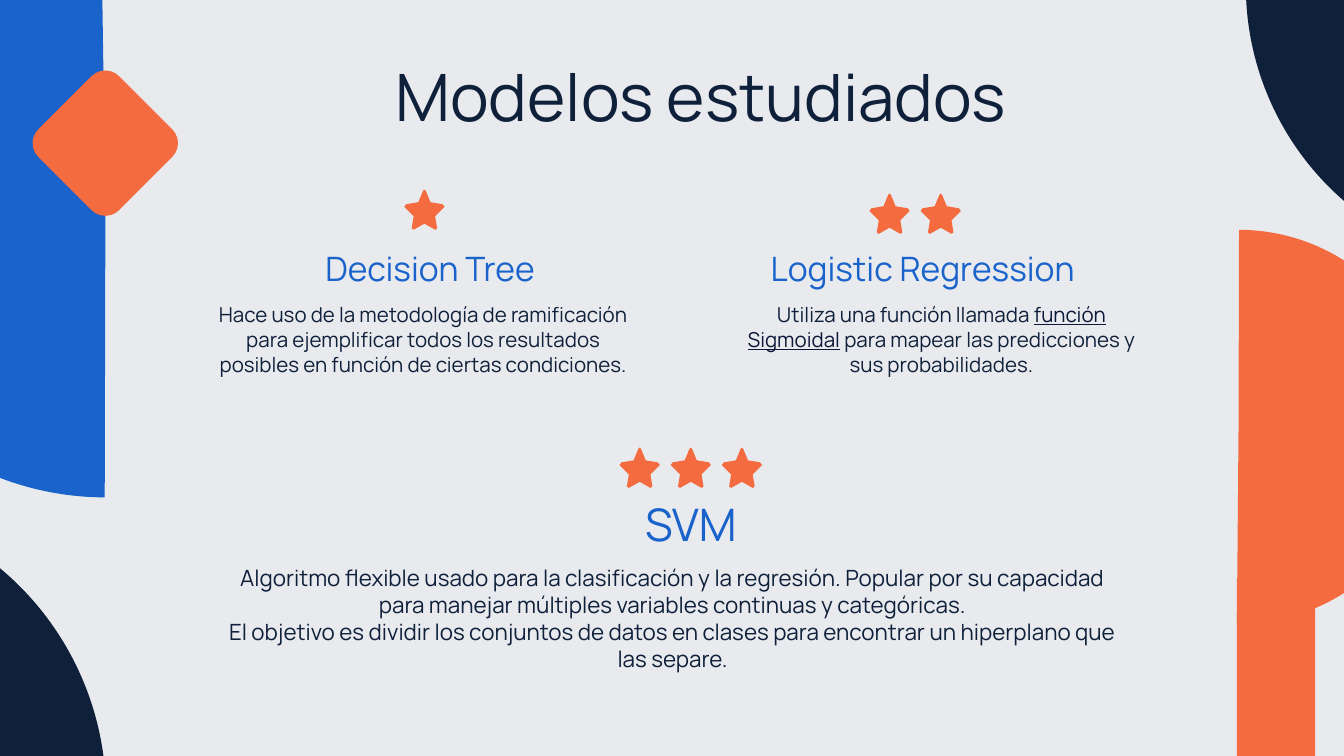
from pptx import Presentation
from pptx.dml.color import RGBColor
from pptx.enum.shapes import MSO_SHAPE
from pptx.enum.text import MSO_ANCHOR, PP_ALIGN
from pptx.util import Pt

COLORS = {"bg": "E9EAEE", "navy": "0E203A", "blue": "1963CB",
          "orange": "F36B3F", "link": "0B1838"}
FONT = "Manrope"
INSET = 7.2
STAR_SIZE, STAR_PITCH, STAR_UNITS = 21.6, 27.4, 60
STAR_HALF = [(2, 2), (9, 19), (27, 22), (30, 26), (16, 40),
             (19, 58), (16, 60), (0, 51)]


def rgb(name):
    return RGBColor.from_string(COLORS[name])


def paint(sp, color):
    sp.shadow.inherit = False
    sp.fill.solid()
    sp.fill.fore_color.rgb = rgb(color)
    sp.line.fill.background()


def add_shape(s, kind, box, color, rotation=0, adjustments=()):
    sp = s.shapes.add_shape(kind, *map(Pt, box))
    sp.rotation = rotation
    for i, value in enumerate(adjustments):
        sp.adjustments[i] = value
    paint(sp, color)


def add_text(s, box, paragraphs, size, color, anchor=MSO_ANCHOR.TOP):
    tf = s.shapes.add_textbox(*map(Pt, box)).text_frame
    frame = {"word_wrap": True, "vertical_anchor": anchor}
    frame.update({f"margin_{side}": Pt(INSET)
                  for side in ("left", "top", "right", "bottom")})
    for name, value in frame.items():
        setattr(tf, name, value)
    for i, runs in enumerate(paragraphs):
        p = tf.paragraphs[0] if i == 0 else tf.add_paragraph()
        p.alignment = PP_ALIGN.CENTER
        for text, linked in runs:
            r = p.add_run()
            r.text = text
            style = {"name": FONT, "size": Pt(size), "underline": linked}
            for name, value in style.items():
                setattr(r.font, name, value)
            r.font.color.rgb = rgb("link" if linked else color)


def add_star(s, x, y):
    mid = STAR_UNITS // 2
    right = [(mid + dx, dy) for dx, dy in STAR_HALF]
    left = [(mid - dx, dy) for dx, dy in reversed(STAR_HALF[:-1])]
    fb = s.shapes.build_freeform(mid, 0, scale=Pt(STAR_SIZE / STAR_UNITS))
    fb.add_line_segments(right + left, close=True)
    paint(fb.convert_to_shape(Pt(x), Pt(y)), "orange")


def add_decor(s, box):
    x, y, w, h = box
    right, bottom = x + w, y + h
    pie = MSO_SHAPE.PIE
    add_shape(s, pie, (right - 162, y + 123.1, 211, 211), "orange", 180,
              (54.08, 162.29))
    add_shape(s, pie, (right - 52.6, y - 159.8, 304.6, 304.6), "navy", 180,
              (162.07, 215.42))
    add_shape(s, pie, (x - 101.5, y - 49.5, 316, 316), "blue", 0,
              (54.08, 161.48))
    add_shape(s, pie, (x - 259.2, bottom - 137.2, 316, 316), "navy", 0,
              (162.07, 215.99))
    add_shape(s, MSO_SHAPE.RECTANGLE,
              (right - 57.4, bottom - 95.4, 42, 98.6), "orange")
    add_shape(s, MSO_SHAPE.ROUNDED_RECTANGLE,
              (x + 25.8, y + 46.1, 61.2, 61.2), "orange", 45, (0.17,))


def add_title(s, box):
    add_text(s, box, [[("Modelos estudiados", False)]], 35, "navy")


def add_model(s, box, name, body, stars, star_center, star_top,
              name_center, name_width, name_size, body_top, body_size):
    x, y, w, h = box
    row = STAR_SIZE + (stars - 1) * STAR_PITCH
    for i in range(stars):
        add_star(s, x + star_center - row / 2 + i * STAR_PITCH, y + star_top)
    add_text(s, (x + name_center - name_width / 2, y, name_width, 38),
             [[(name, False)]], name_size, "blue", MSO_ANCHOR.MIDDLE)
    add_text(s, (x, y + body_top, w, h - body_top), body, body_size, "navy")


MODELS = [
    dict(box=(105.8, 124.6, 242, 83.5), name="Decision Tree", stars=1,
         star_center=121.6, star_top=-23.1, name_center=124.6,
         name_width=184.3, name_size=18, body_top=30.2, body_size=11,
         body=[[("Hace uso de la metodología de ramificación para ejemplificar "
                 "todos los resultados posibles en función de ciertas "
                 "condiciones.", False)]]),
    dict(box=(391.7, 124.8, 225.4, 83.3), name="Logistic Regression", stars=2,
         star_center=98.6, star_top=-21.1, name_center=102.6,
         name_width=248.4, name_size=18, body_top=30, body_size=11,
         body=[[("Utiliza una función llamada ", False),
                ("función Sigmoidal", True),
                (" para mapear las predicciones y sus probabilidades.",
                 False)]]),
    dict(box=(114.5, 261.4, 491.8, 98.6), name="SVM", stars=3,
         star_center=255.6, star_top=-21.6, name_center=255.6,
         name_width=184.3, name_size=24, body_top=33.8, body_size=12,
         body=[[("Algoritmo flexible usado para la clasificación y la "
                 "regresión. Popular por su capacidad para manejar múltiples "
                 "variables continuas y categóricas.", False)],
               [("El objetivo es dividir los conjuntos de datos en clases "
                 "para encontrar un hiperplano que las separe.", False)]]),
]


def main():
    prs = Presentation()
    prs.slide_width, prs.slide_height = Pt(720), Pt(405)
    s = prs.slides.add_slide(prs.slide_layouts[6])
    s.background.fill.solid()
    s.background.fill.fore_color.rgb = rgb("bg")
    add_decor(s, (0, 0, 720, 405))
    add_title(s, (72, 23, 607, 45.4))
    for model in MODELS:
        add_model(s, **model)
    prs.save("out.pptx")


if __name__ == "__main__":
    main()
